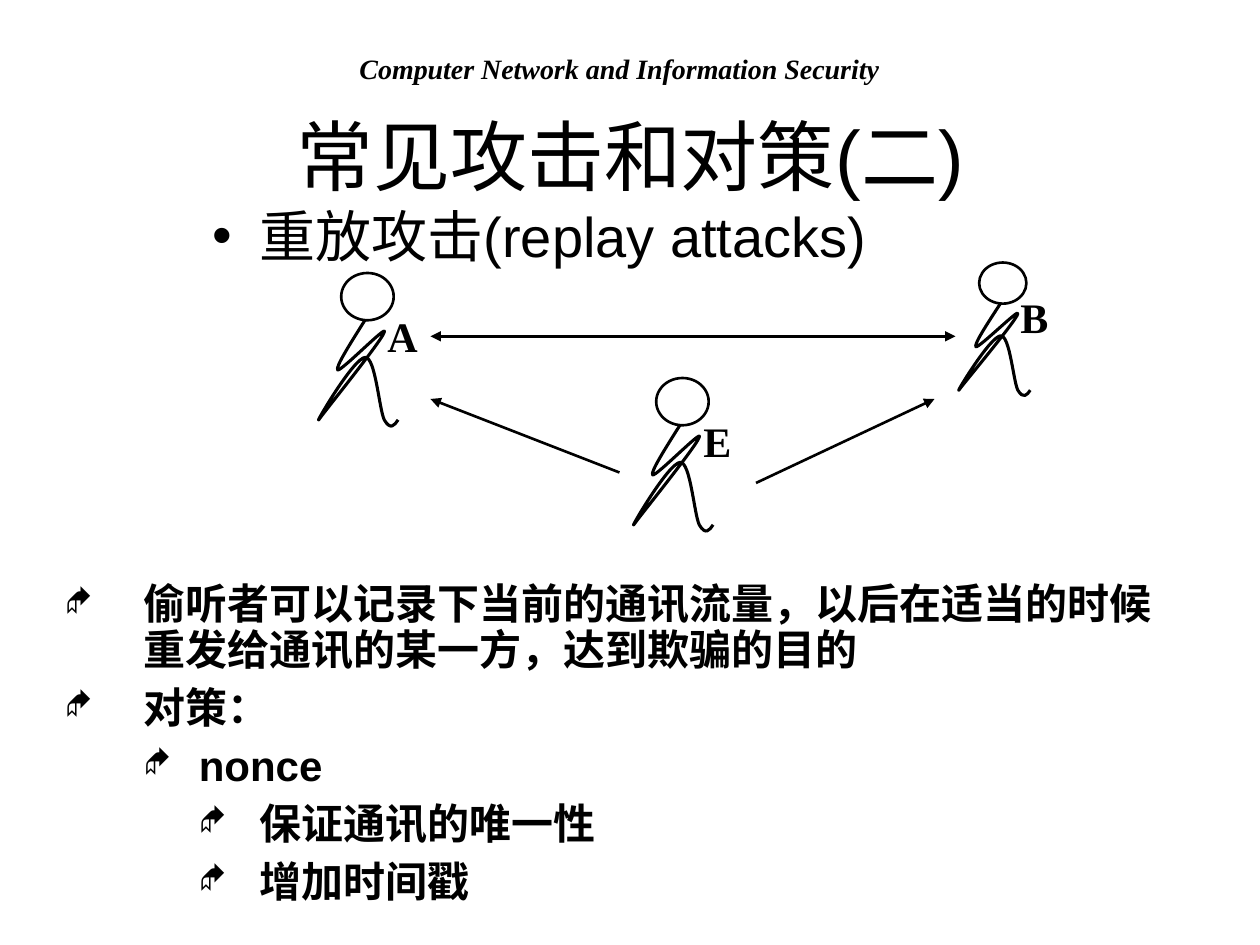
from lxml import etree
from pptx import Presentation, util as u
from pptx.dml.color import RGBColor
from pptx.enum import shapes, text
from pptx.oxml import ns

Pt = u.Pt
COLORS = {"ink": "000000", "paper": "FFFFFF"}

HEADER = "Computer Network and Information Security"
TITLE = "常见攻击和对策(二)"
TOPIC = "重放攻击(replay attacks)"
NOTES = [
    (0, "偷听者可以记录下当前的通讯流量，以后在适当的时候重发给通讯的某一方，达到欺骗的目的"),
    (0, "对策："),
    (1, "nonce"),
    (2, "保证通讯的唯一性"),
    (2, "增加时间戳"),
]
NOTE_INDENTS = [(45, 45), (76.5, 31.5), (111, 34.5)]  # text margin, hanging

# label, left, top, horizontal scale, vertical scale
PEOPLE = [
    ("A", 180, 156, 1, 1),
    ("B", 546, 150, 0.9, 0.87),
    ("E", 360, 216, 1, 1),
]
# start, end, both ends have arrowheads
MESSAGES = [
    ((246, 192.2), (546, 192.2), True),
    ((432, 276), (534, 228), False),
    ((354, 270), (246, 228), False),
]

# One person, in points from its top left corner
HEAD = (15, 0, 30, 27)
LABEL = (40, 22.3, 20, 27)
NECK = (28.8, 26.6)
LIMBS = [  # two control points and an end point for each curve
    ((20.2, 40.3), (11.5, 54), (13, 55.4)),
    ((15.1, 56.2), (41.8, 28.8), (39.6, 33.8)),
    ((38.2, 38.9), (3.6, 81.4), (2.2, 83.9)),
    ((0, 86.4), (22.3, 48.2), (28.8, 48.2)),
    ((34.6, 48.2), (36.7, 77.8), (39.6, 83.9)),
    ((43.2, 90), (45.4, 87.1), (47.5, 83.9)),
]


def rgb(name):
    return RGBColor.from_string(COLORS[name])


def apply(target, **values):
    for key, value in values.items():
        setattr(target, key, value)


def write(paragraph, words, size, font="Arial", **styles):
    run = paragraph.add_run()
    run.text = words
    apply(run.font, size=Pt(size), name=font, **styles)
    run.font.color.rgb = rgb("ink")


def add_xml(parent, tag, **attributes):
    return etree.SubElement(parent, ns.qn(tag), attributes)


def outline(shape, width):
    shape.line.color.rgb = rgb("ink")
    shape.line.width = Pt(width)


def fill_paper(fill):
    fill.solid()
    fill.fore_color.rgb = rgb("paper")


def bend(freeform):
    """Turn every three straight segments into one cubic curve."""
    segments = list(freeform._element.iter(ns.qn("a:lnTo")))
    outline_path = segments[0].getparent()
    for first in range(0, len(segments), 3):
        curve = add_xml(outline_path, "a:cubicBezTo")
        for segment in segments[first:first + 3]:
            curve.append(segment[0])
            outline_path.remove(segment)


def add_header(slide, master):
    header = slide.shapes.add_shape(
        shapes.MSO_SHAPE.RECTANGLE, Pt(116), Pt(26), Pt(476), Pt(26.6))
    header.shadow.inherit = False
    fill_paper(header.fill)
    header.line.fill.background()
    frame = header.text_frame
    apply(frame, word_wrap=True, vertical_anchor=text.MSO_ANCHOR.MIDDLE)
    frame.paragraphs[0].alignment = text.PP_ALIGN.CENTER
    write(frame.paragraphs[0], HEADER, 16, "Times New Roman", bold=True, italic=True)
    master.shapes._spTree.append(header._element)


def add_person(slide, label, left, top, scale_x, scale_y):
    person = slide.shapes.add_group_shape()

    def place(x, y):
        return Pt(left + x * scale_x), Pt(top + y * scale_y)

    def box(x, y, width, height):
        return *place(x, y), Pt(width * scale_x), Pt(height * scale_y)

    head = person.shapes.add_shape(shapes.MSO_SHAPE.OVAL, *box(*HEAD))
    builder = person.shapes.build_freeform(*place(*NECK))
    builder.add_line_segments(
        [place(*point) for curve in LIMBS for point in curve], close=False)
    limbs = builder.convert_to_shape()
    bend(limbs)
    for part, width in ((head, 1.5), (limbs, 1.75)):
        part.shadow.inherit = False
        part.fill.background()
        outline(part, width)

    frame = person.shapes.add_textbox(*box(*LABEL)).text_frame
    apply(frame, word_wrap=False, margin_left=0, margin_right=0,
          vertical_anchor=text.MSO_ANCHOR.MIDDLE)
    frame.paragraphs[0].alignment = text.PP_ALIGN.CENTER
    write(frame.paragraphs[0], label, 24, "Times New Roman", bold=True)


def add_message(slide, start, end, two_way):
    arrow = slide.shapes.add_connector(
        shapes.MSO_CONNECTOR.STRAIGHT, *map(Pt, start + end))
    outline(arrow, 1.5)
    properties = arrow._element.spPr
    line = properties.find(ns.qn("a:ln"))
    for tag in (("a:headEnd", "a:tailEnd") if two_way else ("a:tailEnd",)):
        add_xml(line, tag, type="triangle")
    add_xml(properties, "a:effectLst")


def add_note(paragraph, level, words):
    apply(paragraph, level=level, line_spacing=0.9, space_before=Pt(7.2))
    margin, hanging = NOTE_INDENTS[level]
    properties = paragraph._p.get_or_add_pPr()
    properties.set("marL", str(Pt(margin)))
    properties.set("indent", str(-Pt(hanging)))
    add_xml(add_xml(properties, "a:buClr"), "a:srgbClr", val=COLORS["ink"])
    add_xml(properties, "a:buSzPct", val="75000")
    add_xml(properties, "a:buFont", typeface="Wingdings")
    add_xml(properties, "a:buChar", char="◆")
    write(paragraph, words, 24, bold=True)


def main():
    deck = Presentation()
    apply(deck, slide_width=Pt(720), slide_height=Pt(540))
    slide = deck.slides.add_slide(deck.slide_layouts[1])
    fill_paper(slide.background.fill)
    add_header(slide, deck.slide_master)

    title, topic = slide.placeholders
    apply(title, left=Pt(36), top=Pt(60.5), width=Pt(648), height=Pt(56))
    title.text_frame.vertical_anchor = text.MSO_ANCHOR.MIDDLE
    write(title.text_frame.paragraphs[0], TITLE, 44)
    apply(topic, left=Pt(114), top=Pt(111.3), width=Pt(552), height=Pt(73))
    write(topic.text_frame.paragraphs[0], TOPIC, 32)

    for person in PEOPLE:
        add_person(slide, *person)
    for message in MESSAGES:
        add_message(slide, *message)

    notes = slide.shapes.add_textbox(Pt(30), Pt(330), Pt(649), Pt(197)).text_frame
    notes.word_wrap = True
    for index, note in enumerate(NOTES):
        add_note(notes.add_paragraph() if index else notes.paragraphs[0], *note)

    deck.save("out.pptx")


if __name__ == "__main__":
    main()
